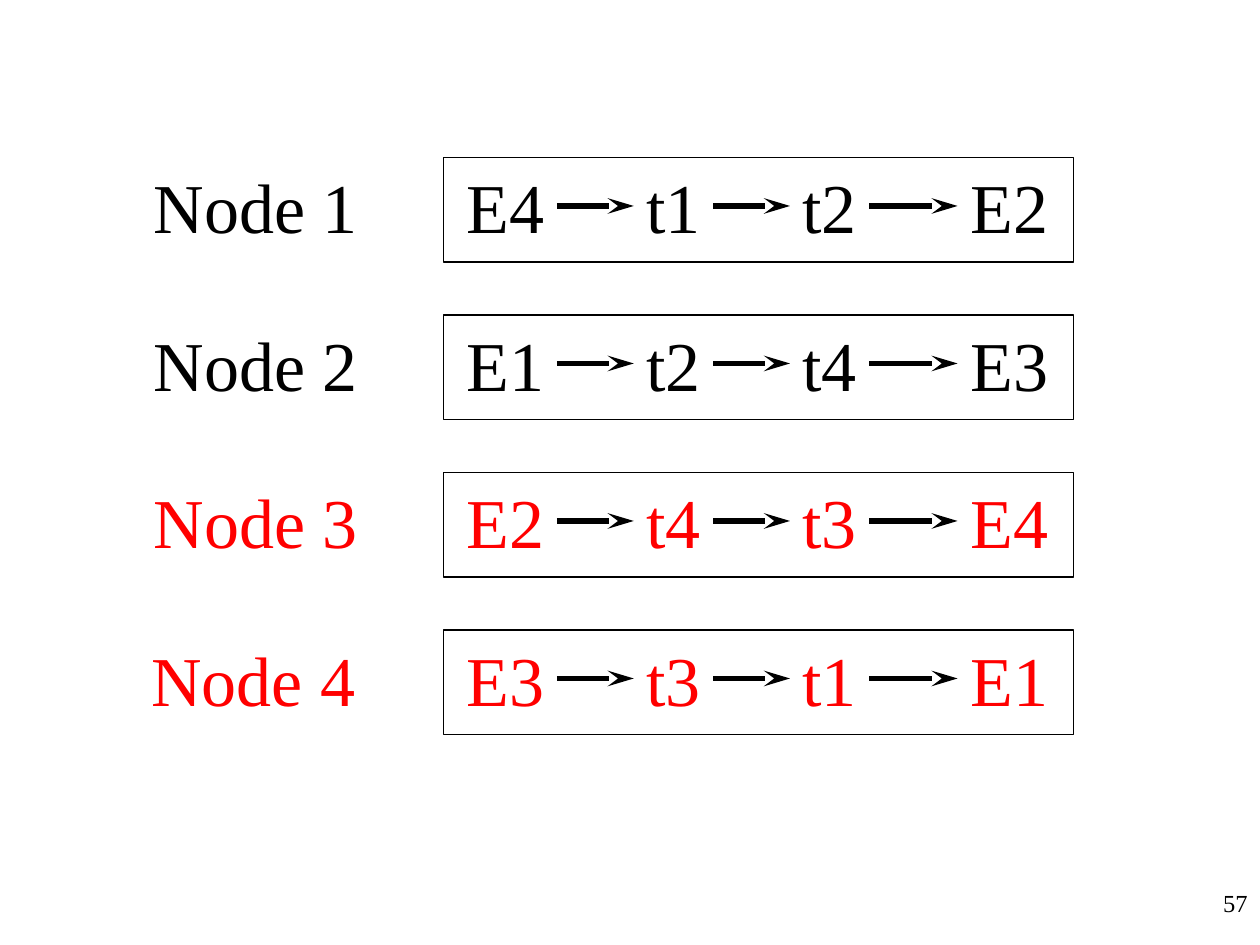
"""Build a slide of four nodes, each with its chain of linked entries."""
from itertools import pairwise

from pptx import Presentation, util as u
from pptx.dml.color import RGBColor
from pptx.enum import shapes, text
from pptx.oxml.ns import qn
from lxml import etree

COLORS = {"black": "000000", "red": "FF0000"}
FONT = "Times New Roman"
TOP, PITCH = 1.25, 1.25
TEXT_HEIGHT = 0.77
COLUMNS = [(3.6, 0.82), (5.03, 0.63), (6.27, 0.63), (7.6, 0.82)]
NODES = [
    ("Node 1", 1.12, "black", ["E4", "t1", "t2", "E2"]),
    ("Node 2", 1.12, "black", ["E1", "t2", "t4", "E3"]),
    ("Node 3", 1.12, "red", ["E2", "t4", "t3", "E4"]),
    ("Node 4", 1.1, "red", ["E3", "t3", "t1", "E1"]),
]


def rgb(name):
    return RGBColor.from_string(COLORS[name])


def add_text(s, content, x, y, w, h=TEXT_HEIGHT, size=40, color="black",
             align=text.PP_ALIGN.CENTER, wrap=False):
    sp = s.shapes.add_textbox(*map(u.Inches, (x, y, w, h)))
    tf = sp.text_frame
    tf.word_wrap = wrap
    if not wrap:
        tf.auto_size = text.MSO_AUTO_SIZE.SHAPE_TO_FIT_TEXT
    p = tf.paragraphs[0]
    p.text = content
    p.alignment = align
    p.font.name = FONT
    p.font.size = u.Pt(size)
    p.font.color.rgb = rgb(color)
    return sp


def add_frame(s, x, y, w, h):
    sp = s.shapes.add_shape(shapes.MSO_SHAPE.RECTANGLE, *map(u.Inches, (x, y, w, h)))
    sp.shadow.inherit = False
    sp.fill.background()
    sp.line.color.rgb = rgb("black")
    sp.line.width = u.Pt(0.75)


def add_arrow(s, start, end):
    cxn = s.shapes.add_connector(shapes.MSO_CONNECTOR.STRAIGHT, 0, 0, 0, 0)
    cxn.begin_connect(start, 3)
    cxn.end_connect(end, 1)
    cxn.line.color.rgb = rgb("black")
    cxn.line.width = u.Pt(3)
    etree.SubElement(cxn.line._get_or_add_ln(), qn("a:tailEnd"),
                     type="stealth", w="med", len="lg")
    etree.SubElement(cxn._element.spPr, qn("a:effectLst"))


def add_node(s, y, label, label_x, color, entries):
    add_frame(s, 3.52, y, 5, 0.83)
    boxes = [add_text(s, entry, x, y, w, color=color)
             for entry, (x, w) in zip(entries, COLUMNS)]
    for start, end in pairwise(boxes):
        add_arrow(s, start, end)
    add_text(s, label, label_x, y, 1.82, color=color)


def main():
    prs = Presentation()
    prs.slide_width, prs.slide_height = u.Inches(10), u.Inches(7.5)
    s = prs.slides.add_slide(prs.slide_layouts[6])
    add_text(s, "57", 7.92, 7, 2.08, 0.5, size=14,
             align=text.PP_ALIGN.RIGHT, wrap=True)
    for i, node in enumerate(NODES):
        add_node(s, TOP + i * PITCH, *node)
    prs.save("out.pptx")


if __name__ == "__main__":
    main()
